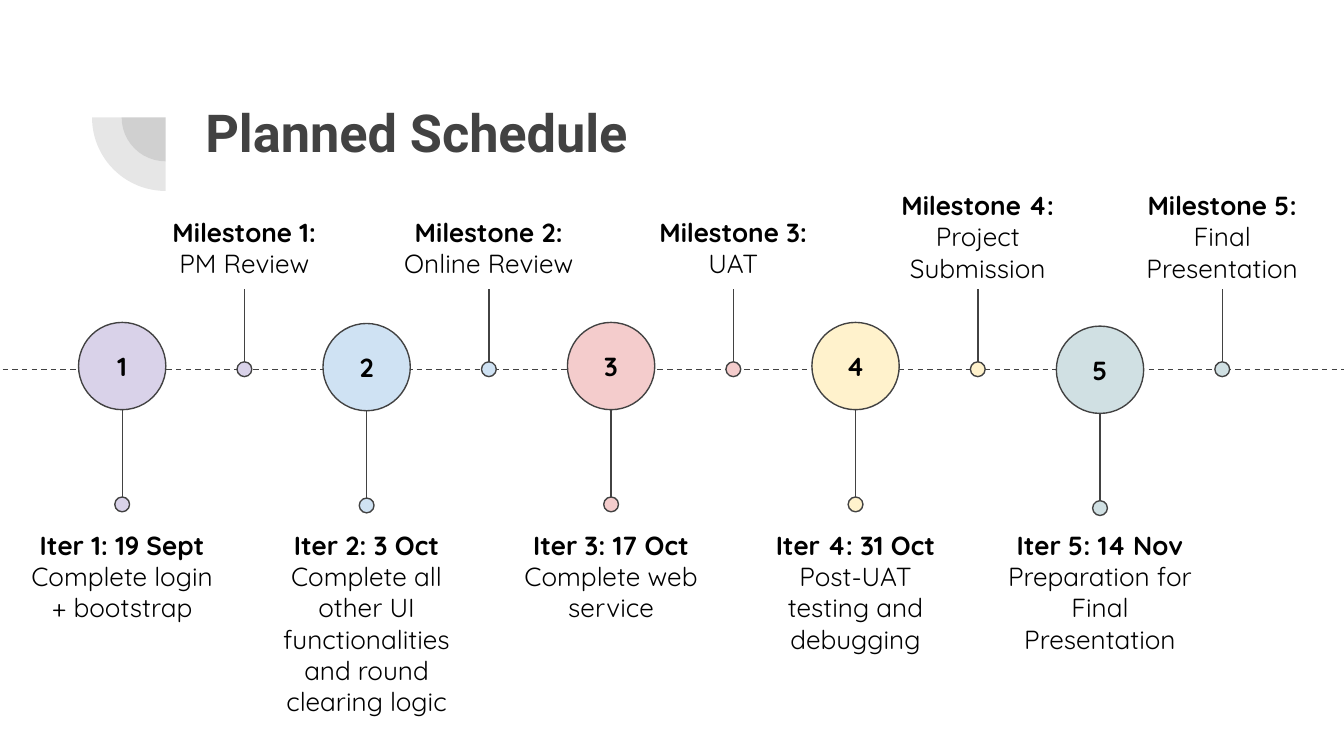
"""Build a project timeline slide with five iterations and their milestones."""
from dataclasses import dataclass

from lxml import etree
from pptx import Presentation
from pptx.dml.color import RGBColor
from pptx.enum.dml import MSO_LINE
from pptx.enum.shapes import MSO_CONNECTOR, MSO_SHAPE
from pptx.enum.text import MSO_ANCHOR, MSO_AUTO_SIZE, PP_ALIGN
from pptx.oxml.ns import qn
from pptx.shapes.autoshape import Shape
from pptx.shapes.connector import Connector
from pptx.slide import Slide
from pptx.text.text import TextFrame, _Paragraph
from pptx.util import Cm, Pt

STRAIGHT = MSO_CONNECTOR.STRAIGHT
OVAL, PIE = MSO_SHAPE.OVAL, MSO_SHAPE.PIE
DASH = MSO_LINE.DASH
TOP, MIDDLE = MSO_ANCHOR.TOP, MSO_ANCHOR.MIDDLE
LEFT, CENTER = PP_ALIGN.LEFT, PP_ALIGN.CENTER
NO_FIT = MSO_AUTO_SIZE.NONE

BLACK = RGBColor(0x00, 0x00, 0x00)
CHARCOAL = RGBColor(0x42, 0x42, 0x42)
LILAC = RGBColor(0xD9, 0xD2, 0xE9)
SKY = RGBColor(0xCF, 0xE2, 0xF3)
ROSE = RGBColor(0xF4, 0xCC, 0xCC)
CREAM = RGBColor(0xFF, 0xF2, 0xCC)
TEAL = RGBColor(0xD0, 0xE0, 0xE3)

HALF_STEP = 2.31
AXIS_Y = 6.98
CIRCLE, DOT = 1.65, 0.28
STEM = 1.65
MILESTONE_STEM_TOP = 5.46
LABEL_WIDTH = 4.04
ITERATION_LABEL_TOP = 9.75
FRAME_FORMAT = {
    "margin_left": Cm(0.25), "margin_right": Cm(0.25),
    "margin_top": Cm(0.25), "margin_bottom": Cm(0.25),
    "word_wrap": True, "auto_size": NO_FIT,
}
LABEL_FONT = {"name": "Quicksand", "size": Pt(14)}
TITLE_FONT = {"name": "Roboto", "size": Pt(28), "bold": True}


@dataclass(frozen=True)
class Stage:
    """One iteration and the milestone that follows it."""
    date: str
    work: str
    milestone: str
    tint: RGBColor
    circle_y: float = 6.92
    milestone_top: float = 3.84


STAGES = (
    Stage("19 Sept", "Complete login + bootstrap", "PM Review", LILAC),
    Stage("3 Oct", "Complete all other UI functionalities and round clearing logic",
          "Online Review", SKY, circle_y=6.94),
    Stage("17 Oct", "Complete web service", "UAT", ROSE),
    Stage("31 Oct", "Post-UAT testing and debugging", "Project Submission", CREAM,
          milestone_top=3.33),
    Stage("14 Nov", "Preparation for Final Presentation", "Final Presentation", TEAL,
          circle_y=6.99, milestone_top=3.33),
)


def apply_format(target: object, values: dict) -> None:
    """Set every attribute listed in a dict of format values."""
    for name, value in values.items():
        setattr(target, name, value)


def format_frame(frame: TextFrame, anchor: MSO_ANCHOR) -> None:
    """Give a text frame the common insets and its anchor."""
    apply_format(frame, {**FRAME_FORMAT, "vertical_anchor": anchor})


def write_line(paragraph: _Paragraph, text: str, align: PP_ALIGN,
               font: dict, color: RGBColor) -> None:
    """Write one formatted run into a paragraph."""
    paragraph.alignment = align
    run = paragraph.add_run()
    run.text = text
    apply_format(run.font, font)
    run.font.color.rgb = color


def add_title(slide: Slide, text: str) -> None:
    """Place the slide title in its placeholder."""
    title = slide.shapes.title
    apply_format(title, {"left": Cm(3.63), "top": Cm(1.65),
                         "width": Cm(19.53), "height": Cm(2.77)})
    format_frame(title.text_frame, TOP)
    write_line(title.text_frame.paragraphs[0], text, LEFT, TITLE_FONT, CHARCOAL)


def add_quarter(slide: Slide, radius: float) -> None:
    """Draw a translucent lower-left quarter disc beside the title."""
    center_x, center_y = 3.13, 2.22
    quarter = slide.shapes.add_shape(PIE, Cm(center_x - radius), Cm(center_y - radius),
                                     Cm(2 * radius), Cm(2 * radius))
    quarter.adjustments[0], quarter.adjustments[1] = 54, 108
    quarter.shadow.inherit = False
    quarter.fill.solid()
    quarter.fill.fore_color.rgb = CHARCOAL
    quarter.line.fill.background()
    tint = quarter.fill._xPr.find(qn("a:solidFill"))[0]
    etree.SubElement(tint, qn("a:alpha"), val="13000")


def add_line(slide: Slide, x1: float, y1: float, x2: float, y2: float) -> Connector:
    """Draw a thin straight line without shadow."""
    line = slide.shapes.add_connector(STRAIGHT, Cm(x1), Cm(y1), Cm(x2), Cm(y2))
    line.line.color.rgb = CHARCOAL
    line.line.width = Pt(0.75)
    etree.SubElement(line._element.spPr, qn("a:effectLst"))
    return line


def add_disc(slide: Slide, x: float, y: float, size: float, tint: RGBColor) -> Shape:
    """Draw an outlined disc around a centre point."""
    disc = slide.shapes.add_shape(OVAL, Cm(x - size / 2), Cm(y - size / 2),
                                  Cm(size), Cm(size))
    disc.shadow.inherit = False
    disc.fill.solid()
    disc.fill.fore_color.rgb = tint
    disc.line.color.rgb = CHARCOAL
    disc.line.width = Pt(0.75)
    return disc


def add_label(slide: Slide, x: float, top: float, height: float,
              heading: str, detail: str) -> None:
    """Write a bold heading over its detail, centred on x."""
    label = slide.shapes.add_textbox(Cm(x - LABEL_WIDTH / 2), Cm(top),
                                     Cm(LABEL_WIDTH), Cm(height))
    frame = label.text_frame
    format_frame(frame, TOP)
    write_line(frame.paragraphs[0], heading, CENTER, {**LABEL_FONT, "bold": True}, BLACK)
    write_line(frame.add_paragraph(), detail, CENTER, {**LABEL_FONT, "bold": False}, BLACK)


def add_iteration(slide: Slide, number: int, stage: Stage, x: float) -> None:
    """Draw a numbered circle with its stem, dot and label below."""
    circle = add_disc(slide, x, stage.circle_y, CIRCLE, stage.tint)
    format_frame(circle.text_frame, MIDDLE)
    write_line(circle.text_frame.paragraphs[0], str(number), CENTER,
               {**LABEL_FONT, "bold": True}, BLACK)
    stem_top = stage.circle_y + CIRCLE / 2
    stem_bottom = stem_top + STEM
    add_line(slide, x, stem_top, x, stem_bottom)
    add_disc(slide, x, stem_bottom + DOT / 2, DOT, stage.tint)
    add_label(slide, x, ITERATION_LABEL_TOP, 1.27,
              f"Iter {number}: {stage.date}", stage.work)


def add_milestone(slide: Slide, number: int, stage: Stage, x: float) -> None:
    """Draw a dot on the axis with its stem and label above."""
    add_disc(slide, x, AXIS_Y, DOT, stage.tint)
    add_line(slide, x, AXIS_Y - DOT / 2, x, MILESTONE_STEM_TOP)
    add_label(slide, x, stage.milestone_top, 1.65,
              f"Milestone {number}:", stage.milestone)


def main() -> None:
    """Assemble the slide and save it."""
    deck = Presentation()
    deck.slide_width, deck.slide_height = Cm(25.4), Cm(14.29)
    slide = deck.slides.add_slide(deck.slide_layouts[5])
    for radius in (0.83, 1.39):
        add_quarter(slide, radius)
    add_title(slide, "Planned Schedule")
    axis = add_line(slide, 0.05, AXIS_Y, 25.4, AXIS_Y)
    axis.line.dash_style = DASH
    for number, stage in enumerate(STAGES, start=1):
        x = HALF_STEP * (2 * number - 1)
        add_iteration(slide, number, stage, x)
        add_milestone(slide, number, stage, x + HALF_STEP)
    deck.save("out.pptx")


if __name__ == "__main__":
    main()
